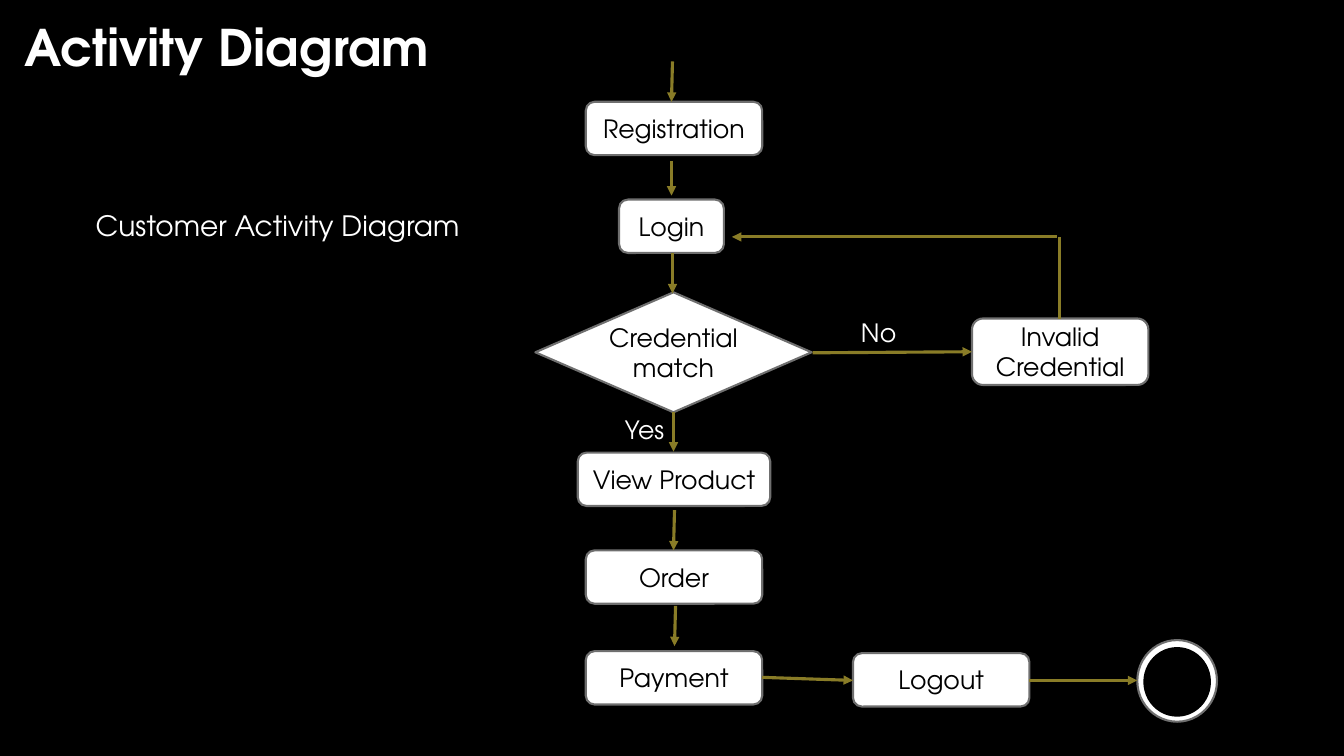
from dataclasses import dataclass

from lxml import etree
from pptx import Presentation
from pptx import util as u
from pptx.dml.color import RGBColor
from pptx.enum import shapes, text
from pptx.oxml.ns import qn

PX = 9144  # 100 px to the inch
KIND = shapes.MSO_SHAPE


@dataclass(frozen=True)
class Theme:
    font: str = "TeX Gyre Adventor"
    dark: str = "000000"
    light: str = "FFFFFF"
    edge: str = "6F6F6F"
    arrow: str = "897C27"
    title: int = 36
    head: int = 20
    body: int = 18
    thin: float = 1.5
    thick: float = 2.25


LOOK = Theme()


def px(*nums):
    return [u.Emu(n * PX) for n in nums]


def color(code):
    return RGBColor.from_string(code)


def write(frame, words, size, ink, bold=False):
    run = frame.paragraphs[0].add_run()
    run.text = words
    run.font.name = LOOK.font
    run.font.size = u.Pt(size)
    run.font.bold = bold
    run.font.color.rgb = color(ink)


def label(slide, words, box, size=LOOK.body, bold=False):
    frame = slide.shapes.add_textbox(*px(*box)).text_frame
    frame.word_wrap = True
    frame.auto_size = text.MSO_AUTO_SIZE.SHAPE_TO_FIT_TEXT
    write(frame, words, size, LOOK.light, bold)


def node(slide, kind, box, fill=LOOK.light, edge=LOOK.edge):
    shape = slide.shapes.add_shape(kind, *px(*box))
    shape.shadow.inherit = False
    shape.fill.solid()
    shape.fill.fore_color.rgb = color(fill)
    shape.line.color.rgb = color(edge)
    shape.line.width = u.Pt(LOOK.thin)
    return shape


def step(slide, words, box, kind=KIND.ROUNDED_RECTANGLE, pad=5):
    frame = node(slide, kind, box).text_frame
    frame.word_wrap = True
    frame.vertical_anchor = text.MSO_ANCHOR.MIDDLE
    frame.margin_left = frame.margin_right = 0
    frame.margin_top = frame.margin_bottom = u.Emu(pad * PX)
    frame.paragraphs[0].alignment = text.PP_ALIGN.CENTER
    write(frame, words, LOOK.body, LOOK.dark)


def link(slide, ends, tip=True):
    wire = slide.shapes.add_connector(shapes.MSO_CONNECTOR.STRAIGHT, *px(*ends))
    wire.line.color.rgb = color(LOOK.arrow)
    wire.line.width = u.Pt(LOOK.thick)
    if tip:
        etree.SubElement(wire.line._get_or_add_ln(), qn("a:tailEnd"), type="triangle")
    etree.SubElement(wire._element.spPr, qn("a:effectLst"))


def main():
    deck = Presentation()
    deck.slide_width, deck.slide_height = px(1333, 750)
    slide = deck.slides.add_slide(deck.slide_layouts[6])
    back = slide.background.fill
    back.solid()
    back.fore_color.rgb = color(LOOK.dark)

    # Headings
    label(slide, "Activity Diagram", (14, 11, 455, 71), LOOK.title, bold=True)
    label(slide, "Customer Activity Diagram", (85, 202, 480, 44), LOOK.head)

    # Start and end marks
    node(slide, KIND.OVAL, (640, 11, 53, 49), LOOK.dark, LOOK.dark)
    node(slide, KIND.OVAL, (1128, 635, 79, 81))
    node(slide, KIND.OVAL, (1135, 643, 65, 67), LOOK.dark, LOOK.dark)

    # Steps: words, left, top, width, height
    wide, high = 175, 53
    for words, *box in (
        ("Registration", 581, 101, wide, high),
        ("Login", 614, 198, 104, high),
        ("View Product", 573, 449, 191, high),
        ("Order", 581, 546, wide, high),
        ("Payment", 581, 646, wide, high),
        ("Logout", 846, 648, wide, high),
        ("Invalid Credential", 964, 316, wide, 66),
    ):
        step(slide, words, box)
    step(slide, "Credential match", (531, 290, 274, 119), KIND.FLOWCHART_DECISION, pad=0)

    # Arrows: from x, y to x, y
    for ends in (
        (667, 61, 666, 101),
        (666, 160, 666, 194),
        (667, 251, 667, 291),
        (668, 409, 668, 448),
        (669, 506, 668, 546),
        (670, 601, 669, 641),
        (756, 672, 846, 675),
        (1021, 675, 1128, 675),
        (806, 350, 964, 349),
        (1048, 235, 726, 235),
    ):
        link(slide, ends)
    link(slide, (1051, 316, 1051, 235), tip=False)

    # Branch labels
    label(slide, "No", (844, 310, 75, 40))
    label(slide, "Yes", (610, 406, 75, 40))

    deck.save("out.pptx")


if __name__ == "__main__":
    main()
